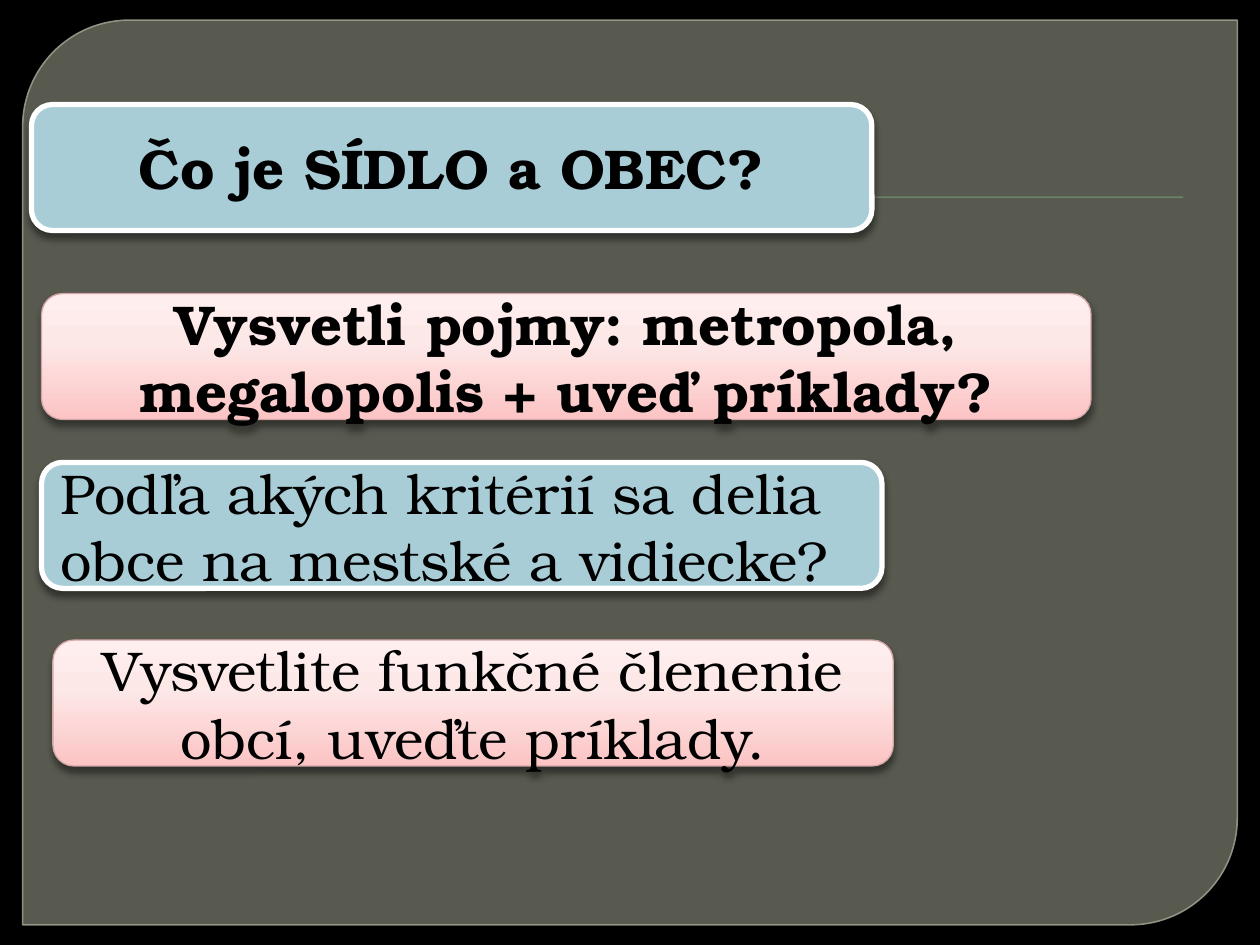
from copy import deepcopy
from dataclasses import dataclass

from lxml.etree import SubElement
from pptx import Presentation
from pptx.dml.color import RGBColor as RGB
from pptx.enum.shapes import MSO_SHAPE as SHAPE
from pptx.enum.text import MSO_ANCHOR as ANCHOR, PP_ALIGN as ALIGN
from pptx.oxml.ns import qn
from pptx.util import Inches, Pt


@dataclass(frozen=True)
class Theme:
    font: str = "TeX Gyre Bonum"
    size: int = 32
    text: str = "000000"
    background: str = "000000"
    panel: str = "888B7B"
    panel_line: str = "9DA090"
    rule: str = "72A376"
    blue: str = "A8CDD7"
    blue_line: str = "FFFFFF"
    pink: tuple = ((0, "FCC4C4"), (0.62, "FDE8E8"), (1, "FEEEEE"))
    pink_line: str = "D3A6A6"


THEME = Theme()


def set_alpha(color, percent):
    SubElement(color, qn("a:alpha"), val=str(percent * 1000))


def set_shadow(sp, alpha, blur, dist):
    effects = sp._element.spPr.find(qn("a:effectLst"))
    shadow = SubElement(effects, qn("a:outerShdw"), blurRad=str(Pt(blur)),
                        dist=str(Pt(dist)), dir="5400000", rotWithShape="0")
    set_alpha(SubElement(shadow, qn("a:srgbClr"), val="000000"), alpha)


def add_box(s, kind, box, fill=None, line=None, width=0.75):
    sp = s.shapes.add_shape(kind, *map(Inches, box))
    sp.shadow.inherit = False
    if fill:
        sp.fill.solid()
        sp.fill.fore_color.rgb = RGB.from_string(fill)
    if line:
        sp.line.color.rgb = RGB.from_string(line)
        sp.line.width = Pt(width)
    else:
        sp.line.fill.background()
    return sp


def fill_gradient(sp, stops):
    sp.fill.gradient()
    sp.fill.gradient_angle = 90
    first = sp._element.spPr.find(".//" + qn("a:gs"))
    first.addnext(deepcopy(first))
    for stop, (position, color) in zip(sp.fill.gradient_stops, stops):
        stop.position = position
        stop.color.rgb = RGB.from_string(color)


def write(sp, text, bold=False, align=ALIGN.CENTER):
    tf = sp.text_frame
    tf.word_wrap = True
    tf.vertical_anchor = ANCHOR.MIDDLE
    p = tf.paragraphs[0]
    p.alignment = align
    r = p.add_run()
    r.text = text
    r.font.name = THEME.font
    r.font.size = Pt(THEME.size)
    r.font.bold = bold
    r.font.color.rgb = RGB.from_string(THEME.text)


def add_backdrop(s, box):
    s.background.fill.solid()
    s.background.fill.fore_color.rgb = RGB.from_string(THEME.background)
    panel = add_box(s, SHAPE.ROUND_2_DIAG_RECTANGLE, box,
                    THEME.panel, THEME.panel_line, 0.87)
    panel.adjustments[0] = 0.118
    panel.adjustments[1] = 0
    fill_color, line_color = panel._element.spPr.iter(qn("a:srgbClr"))
    set_alpha(fill_color, 65)
    set_alpha(line_color, 88)
    left, top, width, _ = box
    rule = add_box(s, SHAPE.RECTANGLE,
                   (left + 0.46, top + 1.4, width - 0.89, 0.01), THEME.rule)
    set_shadow(rule, 75, 1, 1)


def add_question(s, box, text, pink=False, **text_format):
    if pink:
        sp = add_box(s, SHAPE.ROUNDED_RECTANGLE, box, line=THEME.pink_line)
        fill_gradient(sp, THEME.pink)
    else:
        sp = add_box(s, SHAPE.ROUNDED_RECTANGLE, box,
                     THEME.blue, THEME.blue_line, 3)
    set_shadow(sp, 43, 4, 3)
    write(sp, text, **text_format)


def main():
    prs = Presentation()
    prs.slide_width, prs.slide_height = Inches(10), Inches(7.5)
    s = prs.slides.add_slide(prs.slide_layouts[6])
    add_backdrop(s, (0.18, 0.16, 9.64, 7.18))
    add_question(s, (0.25, 0.83, 6.67, 1), "Čo je SÍDLO a OBEC?", bold=True)
    add_question(s, (0.33, 2.33, 8.33, 1),
                 "Vysvetli pojmy: metropola, megalopolis + uveď príklady?",
                 pink=True, bold=True)
    add_question(s, (0.33, 3.67, 6.67, 1),
                 "Podľa akých kritérií sa delia obce na mestské a vidiecke?",
                 align=ALIGN.LEFT)
    add_question(s, (0.42, 5.08, 6.67, 1),
                 "Vysvetlite funkčné členenie obcí, uveďte príklady.",
                 pink=True)
    prs.save("out.pptx")


if __name__ == "__main__":
    main()
